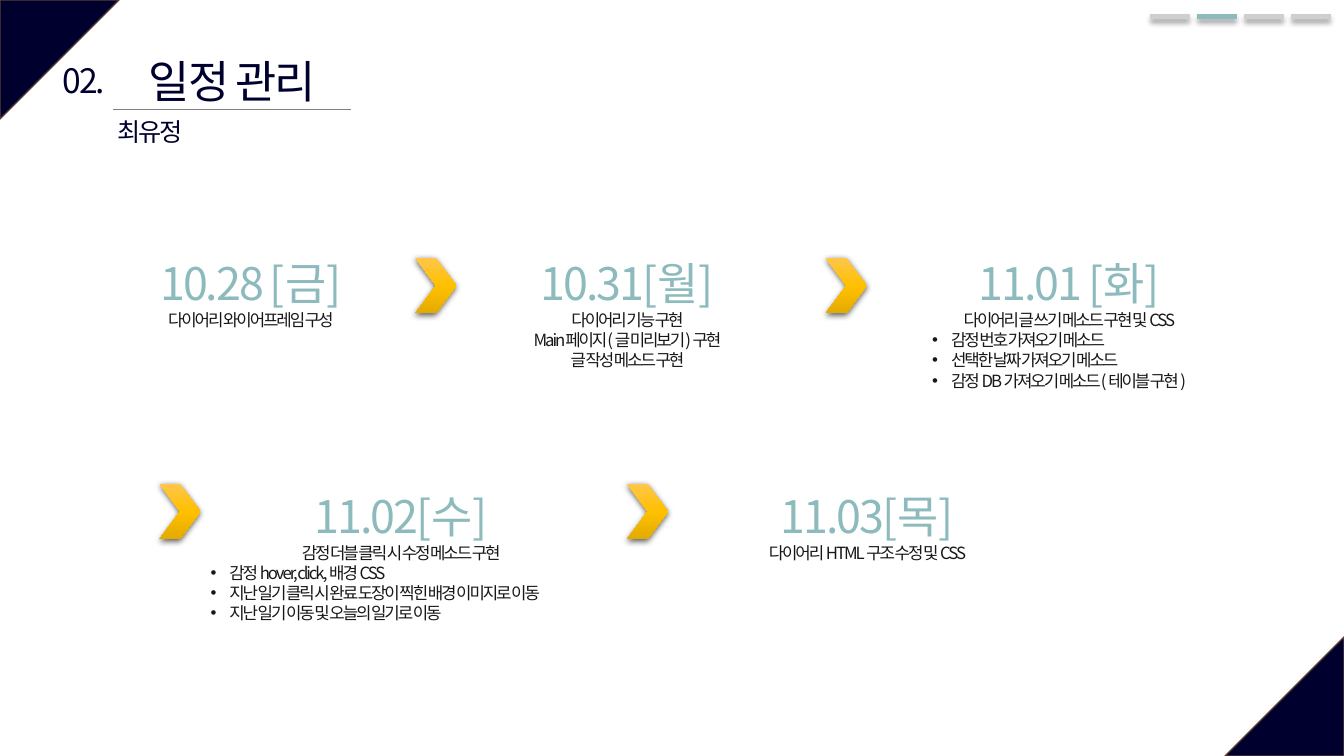
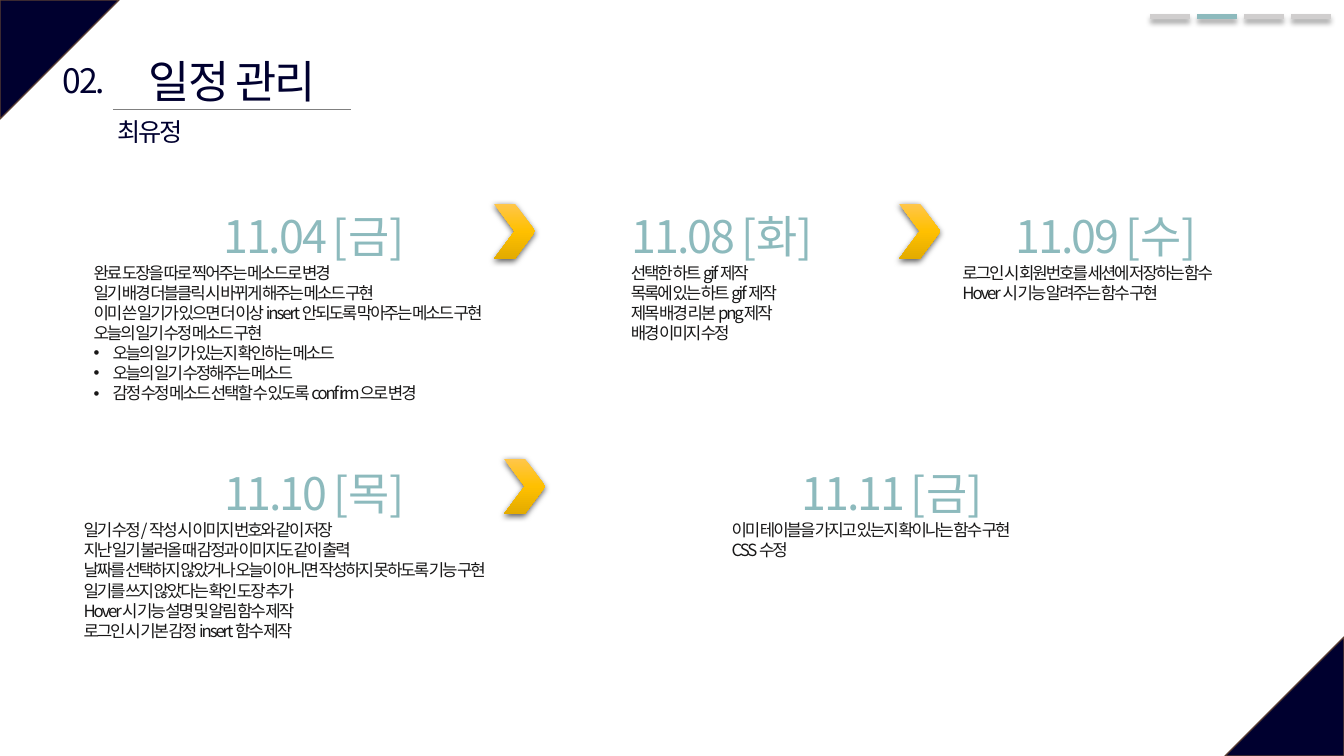
from pptx import Presentation
from pptx.dml.color import RGBColor
from pptx.enum.shapes import MSO_CONNECTOR as Conn, MSO_SHAPE as Kind
from pptx.enum.text import MSO_ANCHOR as Anchor, MSO_AUTO_SIZE as Auto, PP_ALIGN as Align
from pptx.oxml import parse_xml
from pptx.oxml.ns import nsdecls, qn
from pptx.util import Pt
from lxml.etree import SubElement

NAVY = RGBColor(0x00, 0x00, 0x2F)
BROWN = RGBColor(0x5B, 0x3F, 0x33)
TEAL = RGBColor(0x8D, 0xBA, 0xBD)
SILVER = RGBColor(0xD0, 0xCE, 0xCE)
GRAY = RGBColor(0x80, 0x80, 0x80)
INK = RGBColor(0x18, 0x17, 0x17)
AMBER = ((0, RGBColor(0xFF, 0xC6, 0x4B)), (50, RGBColor(0xFF, 0xC0, 0x00)),
         (100, RGBColor(0xE3, 0xAB, 0x00)))
FONT = "Noto Sans CJK KR"
WIDTH, HEIGHT, CORNER = 960, 540, 85

# Each day: left, top, width, date, plain lines, bullets
WEEK_ONE = [
    (84.2, 179.3, 190.1, "10.28 [금]", ["다이어리 와이어프레임 구성"], []),
    (369.4, 179.3, 157.7, "10.31[월]",
     ["다이어리 기능 구현", "Main페이지( 글 미리보기) 구현", "글 작성 메소드 구현"], []),
    (658.8, 179.3, 210.2, "11.01 [화]", ["다이어리 글 쓰기 메소드 구현 및 CSS"],
     ["감정 번호 가져오기 메소드", "선택한 날짜 가져오기 메소드",
      "감정 DB 가져오기 메소드( 테이블 구현 )"]),
    (143.3, 345.6, 286.6, "11.02[수]", ["감정 더블 클릭 시 수정 메소드 구현"],
     ["감정 hover, click, 배경 CSS",
      "지난 일기 클릭 시 완료 도장이 찍힌 배경 이미지로 이동",
      "지난 일기 이동 및 오늘의 일기로 이동"]),
    (535, 345.6, 169.2, "11.03[목]", ["다이어리 HTML 구조 수정 및 CSS"], []),
]
WEEK_TWO = [
    (59.8, 145.4, 329, "11.04 [금]",
     ["완료 도장을 따로 찍어주는 메소드로 변경",
      "일기 배경 더블클릭 시 바뀌게 해주는 메소드 구현",
      "이미 쓴 일기가 있으면 더 이상 insert 안되도록 막아주는 메소드 구현",
      "오늘의 일기 수정 메소드 구현"],
     ["오늘의 일기가 있는지 확인하는 메소드", "오늘의 일기 수정해주는 메소드",
      "감정 수정 메소드 선택할 수 있도록 confirm으로 변경"]),
    (443.5, 145.4, 144.7, "11.08 [화]",
     ["선택한 하트 gif 제작", "목록에 있는 하트 gif 제작",
      "제목 배경 리본 png제작", "배경 이미지 수정"], []),
    (680.4, 145.4, 219.6, "11.09 [수]",
     ["로그인 시 회원번호를 세션에 저장하는 함수", "Hover 시 기능 알려주는 함수 구현"], []),
    (52.6, 329.4, 344.2, "11.10 [목]",
     ["일기 수정/ 작성 시 이미지 번호와 같이 저장",
      "지난 일기 불러올 때 감정과 이미지도 같이 출력",
      "날짜를 선택하지 않았거나 오늘이 아니면 작성하지 못하도록 기능 구현",
      "일기를 쓰지 않았다는 확인 도장 추가", "Hover시 기능 설명 및 알림 함수 제작",
      "로그인 시 기본 감정 insert 함수 제작"], []),
    (515.5, 329.4, 243.4, "11.11 [금]",
     ["이미 테이블을 가지고 있는지 확이나는 함수 구현", "CSS 수정"], []),
]
# Each slide: days, alignment of plain lines, left and top of the chevrons
SLIDES = [
    (WEEK_ONE, Align.CENTER,
     [(296.6, 184.3), (589.7, 184.3), (447.8, 345.6), (113.8, 345.6)]),
    (WEEK_TWO, Align.LEFT, [(352.8, 145.4), (642.2, 145.4), (360, 327.6)]),
]


def style(par, size, color, align):
    par.alignment = align
    for run in par.runs:
        font = run.font
        font.size, font.name = Pt(size), FONT
        font.color.rgb = color
        props = run._r.get_or_add_rPr()
        props.set("spc", "-150")
        SubElement(props, qn("a:ea")).set("typeface", FONT)


def bullet(par):
    props = par._p.get_or_add_pPr()
    props.set("marL", str(Pt(13.5)))
    props.set("indent", str(-Pt(13.5)))
    SubElement(props, qn("a:buFont")).set("typeface", "Arial")
    SubElement(props, qn("a:buChar")).set("char", "•")


def shade(shape, alpha, blur, dist):
    """Give a shape or line a black shadow that falls straight down."""
    shape.element.spPr.append(parse_xml(
        f'<a:effectLst {nsdecls("a")}><a:outerShdw blurRad="{Pt(blur)}" '
        f'dist="{Pt(dist)}" dir="5400000" algn="t" rotWithShape="0">'
        f'<a:srgbClr val="000000"><a:alpha val="{alpha * 1000}"/></a:srgbClr>'
        '</a:outerShdw></a:effectLst>'))


def add_line(slide, left, top, width, color, weight):
    line = slide.shapes.add_connector(
        Conn.STRAIGHT, Pt(left), Pt(top), Pt(left + width), Pt(top))
    line.line.color.rgb = color
    line.line.width = Pt(weight)
    return line


def add_label(slide, left, top, width, height, text, size):
    box = slide.shapes.add_textbox(Pt(left), Pt(top), Pt(width), Pt(height))
    box.text_frame.text = text
    style(box.text_frame.paragraphs[0], size, NAVY, Align.CENTER)


def add_title(slide, text):
    title = slide.shapes.title
    title.left, title.top, title.width, title.height = Pt(94.3), Pt(34.6), Pt(143.3), Pt(46)
    frame = title.text_frame
    frame.text = text
    frame.word_wrap, frame.auto_size = False, Auto.NONE
    frame.vertical_anchor = Anchor.TOP
    style(frame.paragraphs[0], 32, NAVY, Align.CENTER)


def add_day(slide, day, align):
    left, top, width, date, lines, points = day
    height = 7.2 + 1.21 * (32 + 12 * len(lines + points))
    box = slide.shapes.add_textbox(Pt(left), Pt(top), Pt(width), Pt(height))
    frame = box.text_frame
    frame.word_wrap = True
    frame.text = "\n".join([date, *lines, *points])
    head, *rest = frame.paragraphs
    style(head, 32, TEAL, Align.CENTER)
    for i, par in enumerate(rest):
        listed = i >= len(lines)
        if listed:
            bullet(par)
        style(par, 12, INK, Align.LEFT if listed else align)


def add_chevron(slide, left, top):
    shape = slide.shapes.add_shape(Kind.CHEVRON, Pt(left), Pt(top), Pt(29.5), Pt(39.6))
    stops = "".join(f'<a:gs pos="{pos * 1000}"><a:srgbClr val="{color}"/></a:gs>'
                    for pos, color in AMBER)
    shape.element.spPr.insert(2, parse_xml(
        f'<a:gradFill {nsdecls("a")} rotWithShape="1"><a:gsLst>{stops}</a:gsLst>'
        '<a:lin ang="5400000" scaled="0"/></a:gradFill>'))
    shape.line.fill.background()
    shade(shape, 63, 4.5, 1.5)


def add_corners(slide, layout):
    """Draw the two corner triangles and move them to the shared layout."""
    for left, top, turn in ((0, 0, 90), (WIDTH - CORNER, HEIGHT - CORNER, 270)):
        shape = slide.shapes.add_shape(
            Kind.ISOSCELES_TRIANGLE, Pt(left), Pt(top), Pt(CORNER), Pt(CORNER))
        shape.adjustments[0] = 0
        shape.rotation = turn
        shape.shadow.inherit = False
        shape.fill.solid()
        shape.fill.fore_color.rgb = NAVY
        shape.line.color.rgb = BROWN
        shape.line.width = Pt(1)
        layout.shapes.element.append(shape.element)


def add_header(slide):
    for i in range(4):
        tab = add_line(slide, 821.5 + 33.6 * i, 11.5, 28.4, TEAL if i == 1 else SILVER, 3.5)
        shade(tab, 40, 4, 3)
    rule = add_line(slide, 80.6, 77.8, 170, GRAY, 0.5)
    SubElement(rule.element.spPr, qn("a:effectLst"))
    add_label(slide, 36, 39.6, 48.2, 36, "02.", 24)
    add_label(slide, 74.9, 79.2, 64.8, 28.8, "최유정", 18)
    add_title(slide, "일정 관리")


def main():
    deck = Presentation()
    deck.slide_width, deck.slide_height = Pt(WIDTH), Pt(HEIGHT)
    layout = deck.slide_layouts[5]
    for i, (days, align, marks) in enumerate(SLIDES):
        slide = deck.slides.add_slide(layout)
        if i == 0:
            add_corners(slide, layout)
        add_header(slide)
        for day in days:
            add_day(slide, day, align)
        for left, top in marks:
            add_chevron(slide, left, top)
    deck.save("out.pptx")


if __name__ == "__main__":
    main()
